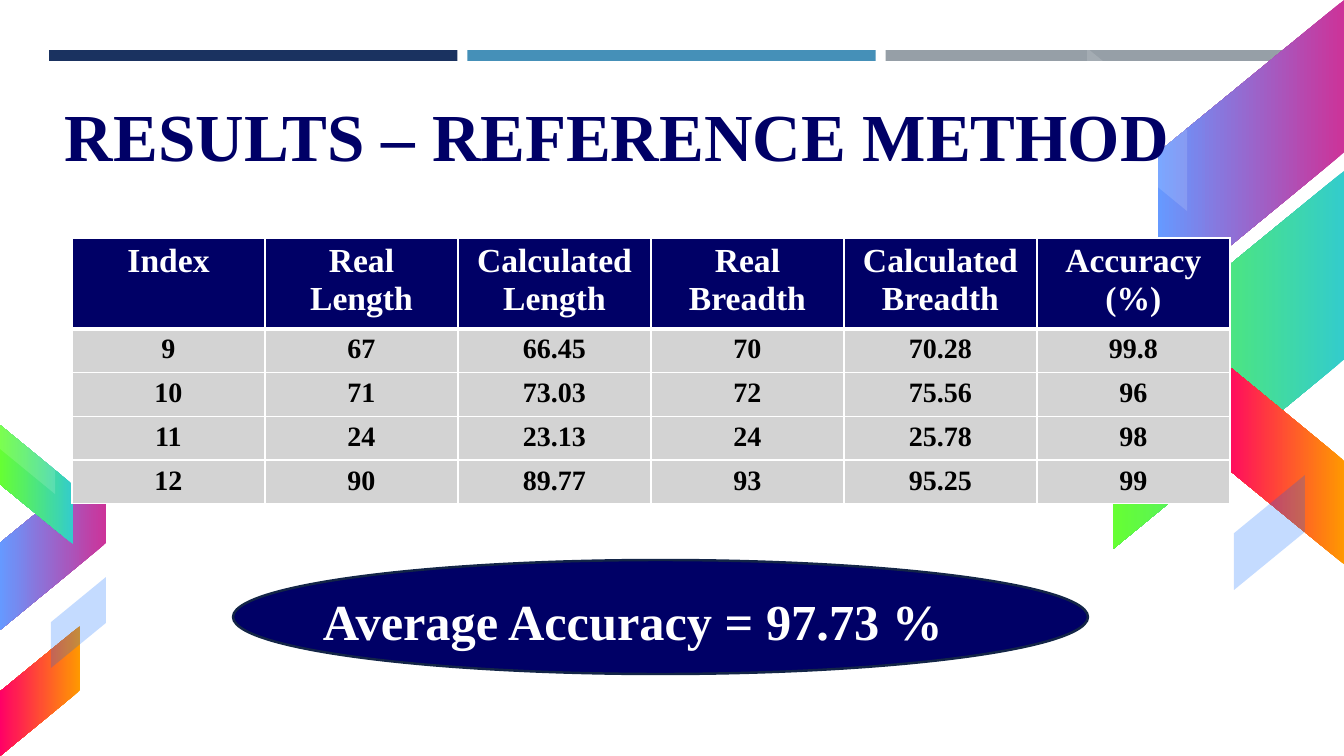
from dataclasses import dataclass
from lxml.etree import SubElement
from pptx import Presentation
from pptx.dml.color import RGBColor as Rgb
from pptx.enum.shapes import MSO_SHAPE as Kind
from pptx.enum.text import MSO_ANCHOR as Anchor, PP_ALIGN as Align
from pptx.oxml import parse_xml
from pptx.oxml.ns import nsdecls, qn
from pptx.util import Emu, Pt

SCALE = 914400 / 100.8


@dataclass(frozen=True)
class Theme:
    font: str = "Times New Roman"
    navy: str = "000066"
    white: str = "FFFFFF"
    black: str = "000000"
    pale: str = "D3D3D3"
    edge: str = "132547"
    bars: tuple = ("1A3260", "4590B8", "969FA7")
    purple: tuple = ("CC3399", "6699FF")
    green: tuple = ("33CCCC", "66FF33")
    red: tuple = ("FF9900", "FF0066")
    sheen: tuple = ("FFFFFF", 14)
    haze: tuple = ("0066FF", 23)
    title: int = 48
    result: int = 36
    head: int = 24
    body: int = 20


LOOK = Theme()

ROWS = (
    ("Index", "Real Length", "Calculated Length", "Real Breadth",
     "Calculated Breadth", "Accuracy\n(%)"),
    ("9", "67", "66.45", "70", "70.28", "99.8"),
    ("10", "71", "73.03", "72", "75.56", "96"),
    ("11", "24", "23.13", "24", "25.78", "98"),
    ("12", "90", "89.77", "93", "95.25", "99"),
)

RIGHT = (
    ((71, 0, 186, 305), True, LOOK.purple),
    ((26, 171, 231, 378), True, LOOK.green),
    ((133, 359, 125, 206), False, LOOK.red),
    ((0, 48, 100, 163), False, LOOK.sheen),
    ((147, 475, 71, 115), True, LOOK.haze),
)
LEFT = (
    ((0, 53, 106, 174), True, LOOK.purple),
    ((0, 22, 73, 119), False, LOOK.green),
    ((0, 223, 80, 130), True, LOOK.red),
    ((0, 0, 55, 91), False, LOOK.sheen),
    ((51, 174, 55, 91), True, LOOK.haze),
)


def px(num):
    return Emu(round(num * SCALE))


def span(*nums):
    return [px(num) for num in nums]


def write(frame, text, size, color, align=Align.LEFT):
    for i, line in enumerate(text.split("\n")):
        para = frame.paragraphs[0] if i == 0 else frame.add_paragraph()
        para.alignment = align
        run = para.add_run()
        run.text = line
        run.font.name = LOOK.font
        run.font.size = Pt(size)
        run.font.bold = True
        run.font.color.rgb = Rgb.from_string(color)


def label(slide, box, text, size, color, pad):
    frame = slide.shapes.add_textbox(*span(*box)).text_frame
    frame.word_wrap = True
    frame.vertical_anchor = Anchor.MIDDLE
    frame.margin_left = frame.margin_right = px(pad)
    frame.margin_top = frame.margin_bottom = 0
    write(frame, text, size, color)


def shape(slide, kind, box):
    item = slide.shapes.add_shape(kind, *span(*box))
    item.shadow.inherit = False
    item.line.fill.background()
    return item


def paint(fill, color):
    fill.solid()
    fill.fore_color.rgb = Rgb.from_string(color)


def bars(slide, box):
    x, y, w, h = box
    gap = 10
    each = (w - 2 * gap) / 3
    for i, color in enumerate(LOOK.bars):
        bar = shape(slide, Kind.RECTANGLE, (x + i * (each + gap), y, each, h))
        paint(bar.fill, color)


def ribbon(slide, box, rise, tint):
    x, y, w, h = box
    mid = x + w / 2, y + h / 2
    item = shape(slide, Kind.PARALLELOGRAM,
                 (mid[0] - h / 2, mid[1] - w / 2, h, w))
    item.rotation = 90
    item.adjustments[0] = 0.82
    if rise:
        item.element.spPr.xfrm.set("flipH", "1")
    first, last = tint
    if isinstance(last, str):
        item.fill.gradient()
        item.fill.gradient_angle = 270
        for stop, color in zip(item.fill.gradient_stops, tint):
            stop.color.rgb = Rgb.from_string(color)
    else:
        paint(item.fill, first)
        node = item.element.spPr.find(".//" + qn("a:srgbClr"))
        SubElement(node, qn("a:alpha")).set("val", str(last * 1000))


def cluster(slide, box, parts):
    left, top = box[:2]
    for (x, y, w, h), rise, tint in parts:
        ribbon(slide, (left + x, top + y, w, h), rise, tint)


def frame_cell(cell, row):
    wide = {"T": 3 if row == 1 else 1, "B": 3 if row == 0 else 1}
    props = cell._tc.get_or_add_tcPr()
    for i, side in enumerate("LRTB"):
        props.insert(i, parse_xml(
            f'<a:ln{side} {nsdecls("a")} w="{Pt(wide.get(side, 1))}">'
            f'<a:solidFill><a:srgbClr val="{LOOK.white}"/></a:solidFill>'
            f'</a:ln{side}>'))


def results(slide, box):
    x, y, w, h = box
    top = 84
    each = (h - top) / (len(ROWS) - 1)
    grid = slide.shapes.add_table(len(ROWS), len(ROWS[0]), *span(*box)).table
    for col in grid.columns:
        col.width = px(w / len(ROWS[0]))
    for i, row in enumerate(ROWS):
        grid.rows[i].height = px(each if i else top)
        fill, ink, size = ((LOOK.pale, LOOK.black, LOOK.body) if i else
                           (LOOK.navy, LOOK.white, LOOK.head))
        for j, text in enumerate(row):
            cell = grid.cell(i, j)
            paint(cell.fill, fill)
            frame_cell(cell, i)
            write(cell.text_frame, text, size, ink, Align.CENTER)


def average(slide, box):
    x, y, w, h = box
    oval = shape(slide, Kind.OVAL, box)
    paint(oval.fill, LOOK.navy)
    paint(oval.line.fill, LOOK.edge)
    oval.line.width = Pt(1.75)
    label(slide, (x + 80, y + 32, w - 80, 56),
          "Average Accuracy = 97.73 %", LOOK.result, LOOK.white, 10)


def main():
    deck = Presentation()
    deck.slide_width, deck.slide_height = span(1344, 756)
    slide = deck.slides.add_slide(deck.slide_layouts[6])
    bars(slide, (49, 50, 1245, 11))
    cluster(slide, (1087, 0, 257, 590), RIGHT)
    cluster(slide, (0, 403, 106, 353), LEFT)
    label(slide, (52, 74, 1200, 122), "RESULTS – REFERENCE METHOD",
          LOOK.title, LOOK.navy, 13)
    results(slide, (72, 238, 1158, 250))
    average(slide, (233, 560, 855, 114))
    deck.save("out.pptx")


if __name__ == "__main__":
    main()
